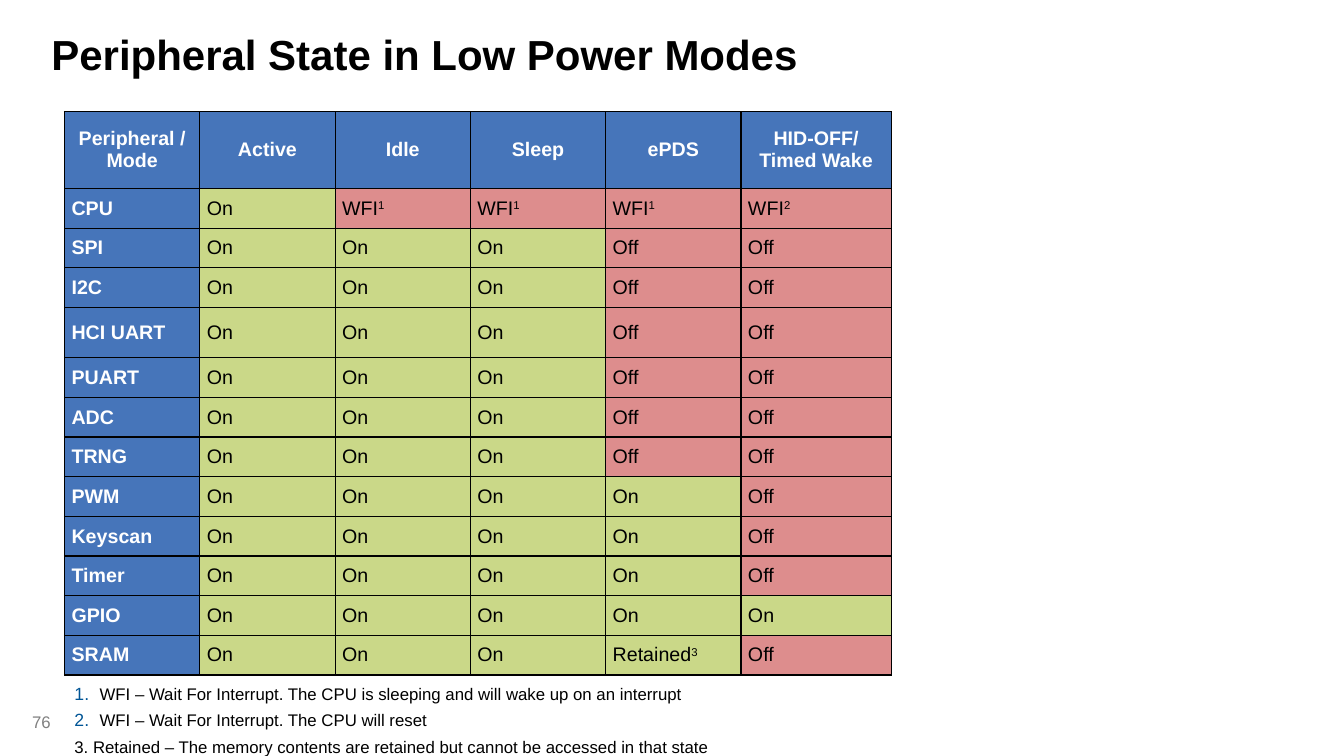
"""Build the slide on peripheral states in low power modes."""
from dataclasses import dataclass

from lxml.etree import SubElement as Sub
from pptx import Presentation
from pptx.dml.color import RGBColor as Rgb
from pptx.enum.text import MSO_ANCHOR as Anchor, MSO_AUTO_SIZE as Fit, PP_ALIGN as Align
from pptx.oxml.ns import qn
from pptx.util import Inches, Pt

TITLE = "Peripheral State in Low Power Modes"
PAGE = "76"
HEAD = ["Peripheral / Mode", "Active", "Idle", "Sleep", "ePDS", "HID-OFF/Timed Wake"]
STATES = [
    ("CPU", "On", "WFI^1", "WFI^1", "WFI^1", "WFI^2"),
    ("SPI", "On", "On", "On", "Off", "Off"),
    ("I2C", "On", "On", "On", "Off", "Off"),
    ("HCI UART", "On", "On", "On", "Off", "Off"),
    ("PUART", "On", "On", "On", "Off", "Off"),
    ("ADC", "On", "On", "On", "Off", "Off"),
    ("TRNG", "On", "On", "On", "Off", "Off"),
    ("PWM", "On", "On", "On", "On", "Off"),
    ("Keyscan", "On", "On", "On", "On", "Off"),
    ("Timer", "On", "On", "On", "On", "Off"),
    ("GPIO", "On", "On", "On", "On", "On"),
    ("SRAM", "On", "On", "On", "Retained^3", "Off"),
]
NOTES = [
    ("WFI – Wait For Interrupt. The CPU is sleeping and will wake up on an interrupt", True),
    ("WFI – Wait For Interrupt. The CPU will reset", True),
    ("3. Retained – The memory contents are retained but cannot be accessed in that state", False),
]
LIVE = ("On", "Retained^3")


@dataclass(frozen=True)
class Theme:
    """Hold the colours, font and type sizes."""
    font: str = "Arial"
    ink: str = "000000"
    white: str = "FFFFFF"
    blue: str = "4675BA"
    green: str = "CAD888"
    red: str = "DD8D8D"
    grey: str = "808080"
    mark: str = "005596"
    title: int = 30
    body: int = 14
    note: int = 12


look = Theme()


def write(para, text, size=look.body, color=look.ink, bold=False, align=None, lead=None, before=None):
    """Fill a paragraph, raising whatever follows a caret."""
    para.alignment = align
    para.line_spacing = lead
    if before is not None:
        para.space_before = Pt(before)
    base, _, power = text.partition("^")
    for part in filter(None, (base, power)):
        run = para.add_run()
        run.text = part
        font = run.font
        font.name, font.size, font.bold = look.font, Pt(size), bold
        font.color.rgb = Rgb.from_string(color)
        if part == power:
            run._r.get_or_add_rPr().set("baseline", "30000")


def number(para):
    """Give a paragraph an automatic coloured number."""
    props = para._p.get_or_add_pPr()
    props.set("marL", str(Inches(0.25)))
    props.set("indent", str(-Inches(0.25)))
    Sub(Sub(props, qn("a:buClr")), qn("a:srgbClr"), val=look.mark)
    Sub(props, qn("a:buSzPct"), val="105000")
    Sub(props, qn("a:buAutoNum"), type="arabicPeriod")


def border(cell):
    """Draw a thin line on all four sides of a cell."""
    props = cell._tc.get_or_add_tcPr()
    for side in ("lnL", "lnR", "lnT", "lnB"):
        line = Sub(props, qn(f"a:{side}"), w=str(Pt(1)))
        Sub(Sub(line, qn("a:solidFill")), qn("a:srgbClr"), val=look.ink)


def add_title(slide):
    """Place and fill the title."""
    title = slide.shapes.title
    title.left, title.top, title.width, title.height = map(Inches, (0.41, 0.28, 12.5, 0.56))
    frame = title.text_frame
    frame.vertical_anchor = Anchor.MIDDLE
    frame.word_wrap = True
    write(frame.paragraphs[0], TITLE, size=look.title, bold=True, align=Align.LEFT, lead=0.92)


def add_grid(slide):
    """Add the table of states."""
    rows = [HEAD, *STATES]
    wide, high, last, top, tall = 8.2, 5.59, 1.49, 0.76, 0.5
    step = (wide - last) / (len(HEAD) - 1)
    pitch = (high - top - tall) / (len(rows) - 2)
    grid = slide.shapes.add_table(len(rows), len(HEAD), *map(Inches, (0.64, 1.11, wide, high))).table
    grid.first_row = grid.horz_banding = False
    for col in grid.columns:
        col.width = Inches(step)
    grid.columns[len(HEAD) - 1].width = Inches(last)
    for i, row in enumerate(rows):
        grid.rows[i].height = Inches({HEAD[0]: top, "HCI UART": tall}.get(row[0], pitch))
        for j, text in enumerate(row):
            cell = grid.cell(i, j)
            label = i == 0 or j == 0
            fill = look.blue if label else look.green if text in LIVE else look.red
            cell.vertical_anchor = Anchor.MIDDLE
            cell.margin_left = cell.margin_right = Inches(0.07)
            cell.margin_top = cell.margin_bottom = 0
            border(cell)
            cell.fill.solid()
            cell.fill.fore_color.rgb = Rgb.from_string(fill)
            write(cell.text_frame.paragraphs[0], text, bold=label,
                  color=look.white if label else look.ink,
                  align=Align.JUSTIFY if i else Align.CENTER)


def add_notes(slide):
    """Add the footnotes below the table."""
    frame = slide.shapes.add_textbox(*map(Inches, (0.64, 6.72, 6.87, 0.9))).text_frame
    frame.word_wrap = True
    frame.auto_size = Fit.SHAPE_TO_FIT_TEXT
    frame.margin_top, frame.margin_bottom = Inches(0.08), Inches(0.1)
    for i, (text, listed) in enumerate(NOTES):
        para = frame.add_paragraph() if i else frame.paragraphs[0]
        if listed:
            number(para)
        write(para, text, size=look.note, lead=0.95, before=5 if i else None)


def add_page(slide):
    """Add the page number."""
    frame = slide.shapes.add_textbox(*map(Inches, (0.22, 7.01, 0.41, 0.3))).text_frame
    frame.word_wrap = False
    frame.auto_size = Fit.SHAPE_TO_FIT_TEXT
    write(frame.paragraphs[0], PAGE, size=look.note, color=look.grey)


def main():
    """Assemble and save the deck."""
    deck = Presentation()
    deck.slide_width, deck.slide_height = Inches(13.33), Inches(7.5)
    slide = deck.slides.add_slide(deck.slide_layouts[5])
    for add in (add_page, add_title, add_grid, add_notes):
        add(slide)
    deck.save("out.pptx")


if __name__ == "__main__":
    main()
